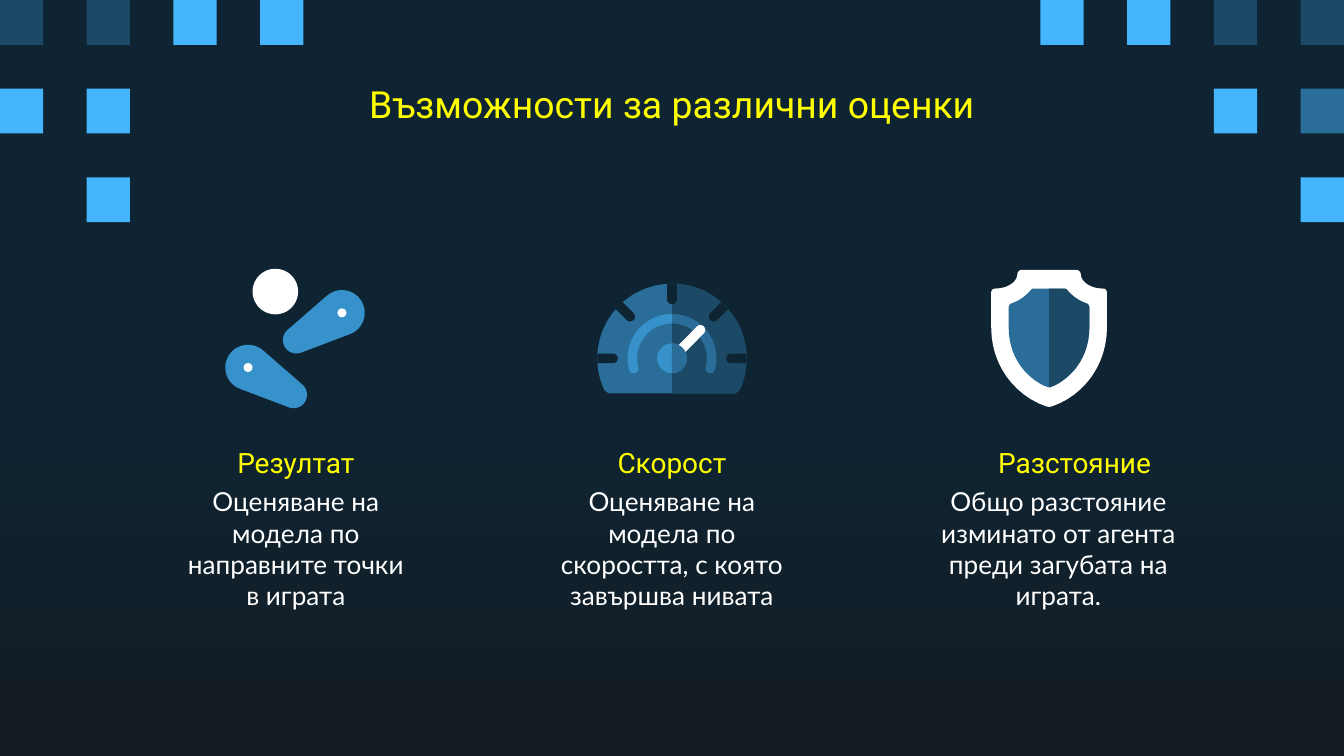
from dataclasses import dataclass
from math import acos, atan2, cos, degrees, dist, radians, sin

from pptx import Presentation
from pptx.dml.color import RGBColor
from pptx.enum.shapes import MSO_SHAPE
from pptx.enum.text import MSO_ANCHOR, MSO_AUTO_SIZE, PP_ALIGN
from pptx.util import Pt

RECTANGLE, OVAL = MSO_SHAPE.RECTANGLE, MSO_SHAPE.OVAL
MIDDLE, CENTER, NO_FIT = MSO_ANCHOR.MIDDLE, PP_ALIGN.CENTER, MSO_AUTO_SIZE.NONE


@dataclass(frozen=True)
class Theme:
    night: str = "0E2433"
    dusk: str = "141C21"
    navy: str = "1C4966"
    steel: str = "296D98"
    azure: str = "3792CB"
    sky: str = "45B6FE"
    white: str = "FFFFFF"
    yellow: str = "FFFF00"
    heading_font: str = "Roboto"
    body_font: str = "Lato"
    title_size: float = 20
    heading_size: float = 15
    body_size: float = 14


THEME = Theme()
WIDTH, HEIGHT = 720, 405
TILE_W, TILE_H, TILE_ROW = 23.2, 24, 47.5
TILE_COLUMN = (WIDTH - TILE_W) / 15
TILES = {
    THEME.navy: [(0, 0), (1, 0), (14, 0), (15, 0)],
    THEME.steel: [(15, 1)],
    THEME.sky: [(2, 0), (3, 0), (12, 0), (13, 0), (0, 1), (1, 1), (14, 1),
                (1, 2), (15, 2)],
}
CRITERIA = [
    (83.5, 150, 150, "Резултат", "Оценяване на модела по направните точки в играта"),
    (285, 150, 150, "Скорост",
     "Оценяване на модела по скоростта, с която завършва нивата"),
    (487.5, 176.4, 159, "Разстояние",
     "Общо разстояние изминато от агента преди загубата на играта."),
]
SHIELD_RIM = [
    [(0, 0)], [(14.4, 0)],
    [(16.1, 0), (17, 1.2), (17, 2.6)],
    [(17.3, 6.5), (22.3, 10), (28.8, 10)],
    [(30.2, 10), (31, 11), (31, 12.2)], [(31, 31)],
    [(31, 50), (19.4, 67), (1.4, 73.2)], [(0, 73.4)],
]
SHIELD_CORE = [
    [(0, 10)], [(7.9, 10)],
    [(8.6, 10), (9.4, 10.3), (9.7, 10.8)],
    [(12.2, 13.7), (15.8, 16.6), (20.2, 18)],
    [(20.9, 18.2), (21.6, 19.2), (21.6, 20.2)], [(21.6, 31)],
    [(21.6, 44.6), (14.4, 56.2), (2.9, 62)], [(0, 63)],
]


def polar(center, radius, angle):
    turn = radians(angle)
    return center[0] + radius * cos(turn), center[1] - radius * sin(turn)


def arc(center, radius, start, end, steps=24):
    return [polar(center, radius, start + (end - start) * i / steps)
            for i in range(steps + 1)]


def curve(start, first, second, end, steps=12):
    points = []
    for i in range(1, steps + 1):
        t = i / steps
        weights = ((1 - t) ** 3, 3 * t * (1 - t) ** 2, 3 * t * t * (1 - t), t ** 3)
        points.append(tuple(sum(w * p[axis] for w, p in
                                zip(weights, (start, first, second, end)))
                            for axis in (0, 1)))
    return points


def trace(segments, origin):
    points = []
    for segment in segments:
        placed = [(origin[0] + x, origin[1] + y) for x, y in segment]
        points += curve(points[-1], *placed) if len(placed) == 3 else placed
    return points


def mirror(points, axis):
    return [(2 * axis - x, y) for x, y in points]


def both_sides(points, axis):
    return points + mirror(points, axis)[::-1]


def taper(wide, wide_radius, narrow, narrow_radius):
    heading = degrees(atan2(wide[1] - narrow[1], narrow[0] - wide[0]))
    spread = degrees(acos((wide_radius - narrow_radius) / dist(wide, narrow)))
    return (arc(wide, wide_radius, heading + spread, heading + 360 - spread)
            + arc(narrow, narrow_radius, heading - spread, heading + spread))


def paint(shape, color):
    shape.shadow.inherit = False
    shape.fill.solid()
    shape.fill.fore_color.rgb = RGBColor.from_string(color)
    shape.line.fill.background()


def add_outline(shapes, points, color):
    start, *rest = [(Pt(x), Pt(y)) for x, y in points]
    builder = shapes.build_freeform(*start)
    builder.add_line_segments(rest)
    paint(builder.convert_to_shape(), color)


def add_block(shapes, kind, left, top, width, height, color):
    paint(shapes.add_shape(kind, Pt(left), Pt(top), Pt(width), Pt(height)), color)


def add_disc(shapes, center, radius, color):
    add_block(shapes, OVAL, center[0] - radius, center[1] - radius,
              2 * radius, 2 * radius, color)


def write(holder, words, font, size, color, inset):
    frame = holder.text_frame
    frame.word_wrap, frame.auto_size = True, NO_FIT
    frame.vertical_anchor = MIDDLE
    frame.margin_left = frame.margin_right = Pt(inset)
    frame.margin_top = frame.margin_bottom = Pt(inset)
    paragraph = frame.paragraphs[0]
    paragraph.alignment = CENTER
    run = paragraph.add_run()
    run.text = words
    run.font.name, run.font.size = font, Pt(size)
    run.font.color.rgb = RGBColor.from_string(color)


def add_label(shapes, box, words, font, size, color, inset):
    write(shapes.add_textbox(*map(Pt, box)), words, font, size, color, inset)


def set_background(slide):
    fill = slide.background.fill
    fill.gradient()
    fill.gradient_angle = 270
    for stop, position, color in zip(fill.gradient_stops, (0.56, 1),
                                     (THEME.night, THEME.dusk)):
        stop.position = position
        stop.color.rgb = RGBColor.from_string(color)


def add_title(slide, words):
    title = slide.shapes.title
    title.left, title.top, title.width, title.height = map(Pt, (56.5, 42.5, 607, 26))
    write(title, words, THEME.heading_font, THEME.title_size, THEME.yellow, 7.2)


def add_tiles(shapes):
    for color, cells in TILES.items():
        for column, row in cells:
            add_block(shapes, RECTANGLE, column * TILE_COLUMN, row * TILE_ROW,
                      TILE_W, TILE_H, color)


def add_pinball(shapes):
    for pivot, tip in (((183.2, 167.6), (158.8, 182.2)),
                       ((132.9, 196.9), (157.3, 211.5))):
        add_outline(shapes, taper(pivot, 12.2, tip, 7.2), THEME.azure)
        add_disc(shapes, pivot, 2.4, THEME.white)
    add_disc(shapes, (147.5, 156.2), 12.2, THEME.white)


def add_gauge(shapes):
    hub = (360, 192)
    axis, radius, base = hub[0], 40, 210.7
    right_dome = arc(hub, radius, 90, -25) + [(axis + 34, base), (axis, base)]
    add_outline(shapes, both_sides(right_dome, axis), THEME.steel)
    add_outline(shapes, right_dome, THEME.navy)
    for angle in range(0, 181, 45):
        inner, outer = polar(hub, 31.7, angle), polar(hub, radius, angle)
        tick = arc(inner, 2.6, angle + 90, angle + 270)
        tick += [polar(outer, 2.6, angle - 90), polar(outer, 2.6, angle + 90)]
        add_outline(shapes, tick, THEME.night)
    right_band = (arc(hub, 23.8, 90, -15)
                  + arc(polar(hub, 21.25, -15), 2.55, -15, -195)
                  + arc(hub, 18.7, -15, 90))
    add_outline(shapes, mirror(right_band, axis), THEME.azure)
    add_outline(shapes, right_band, THEME.steel)
    add_disc(shapes, hub, 8, THEME.azure)
    add_outline(shapes, taper((364, 188.2), 2.6, (375.2, 176.8), 2.6), THEME.white)
    add_outline(shapes, arc(hub, 8, 90, -90), THEME.steel)


def add_shield(shapes):
    top = (562, 144.6)
    right_core = trace(SHIELD_CORE, top)
    add_outline(shapes, both_sides(trace(SHIELD_RIM, top), top[0]), THEME.white)
    add_outline(shapes, both_sides(right_core, top[0]), THEME.steel)
    add_outline(shapes, right_core, THEME.navy)


def main():
    deck = Presentation()
    deck.slide_width, deck.slide_height = Pt(WIDTH), Pt(HEIGHT)
    slide = deck.slides.add_slide(deck.slide_layouts[5])
    set_background(slide)
    add_tiles(slide.shapes)
    add_title(slide, "Възможности за различни оценки")
    for left, heading_width, body_width, heading, body in CRITERIA:
        add_label(slide.shapes, (left, 262, body_width, 63.5), body,
                  THEME.body_font, THEME.body_size, THEME.white, 14.4)
        add_label(slide.shapes, (left, 232.5, heading_width, 30), heading,
                  THEME.heading_font, THEME.heading_size, THEME.yellow, 7.2)
    for add_icon in (add_pinball, add_gauge, add_shield):
        add_icon(slide.shapes.add_group_shape().shapes)
    deck.save("out.pptx")


if __name__ == "__main__":
    main()
